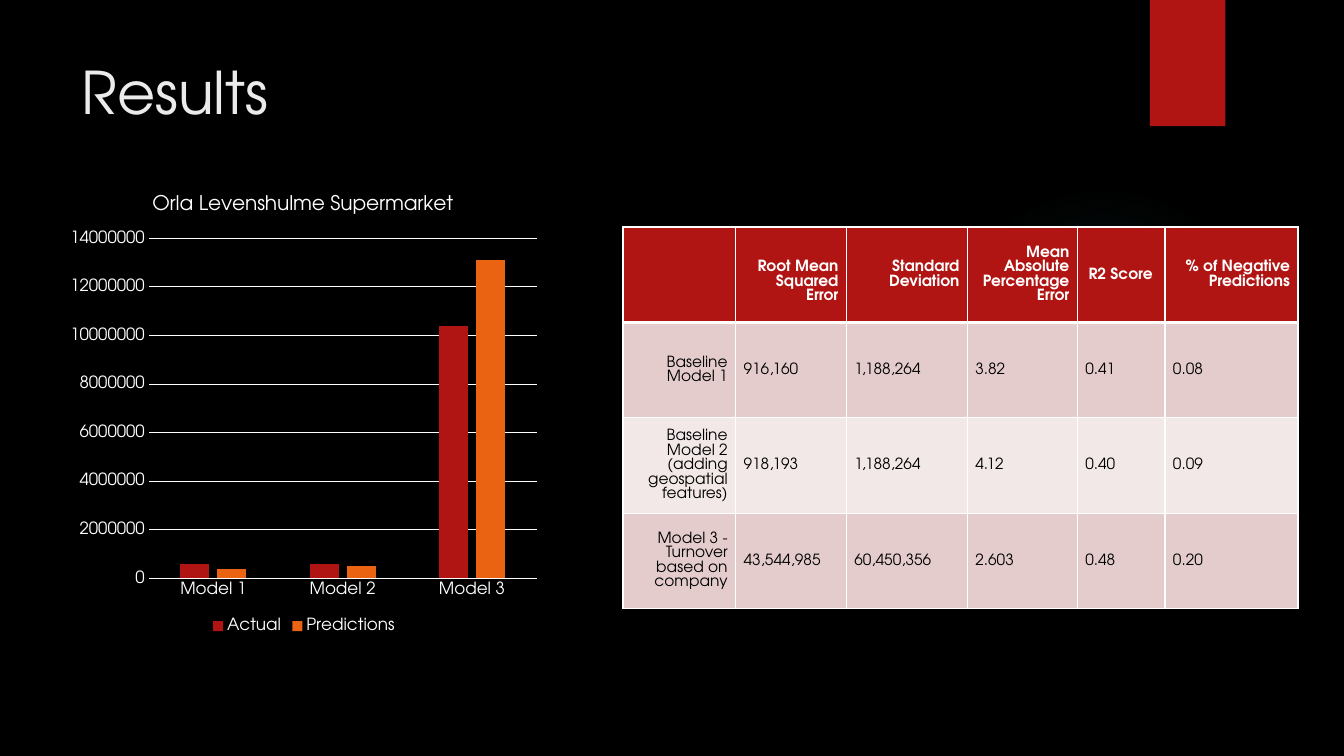
from pptx import Presentation
from pptx.chart.data import CategoryChartData
from pptx.dml.color import RGBColor
from pptx.enum.chart import XL_CHART_TYPE, XL_LEGEND_POSITION, XL_TICK_MARK
from pptx.enum.shapes import MSO_SHAPE
from pptx.enum.text import MSO_ANCHOR, MSO_AUTO_SIZE, PP_ALIGN
from pptx.oxml import parse_xml
from pptx.oxml.ns import nsdecls, qn
from pptx.util import Cm, Pt

FONT = "TeX Gyre Adventor"
BLACK = RGBColor(0x00, 0x00, 0x00)
WHITE = RGBColor(0xFF, 0xFF, 0xFF)
PALE = RGBColor(0xEB, 0xEB, 0xEB)
RED = RGBColor(0xB0, 0x15, 0x13)
ORANGE = RGBColor(0xEA, 0x63, 0x12)
TEAL = RGBColor(0x50, 0xB9, 0xC1)
ROSE = RGBColor(0xE4, 0xCC, 0xCC)
BLUSH = RGBColor(0xF2, 0xE8, 0xE7)

MODELS = ["Model 1", "Model 2", "Model 3"]
SALES = [
    ("Actual", RED, (600000, 600000, 10400000)),
    ("Predictions", ORANGE, (400000, 500000, 13100000)),
]
WIDTHS = [2.84, 2.79, 3.05, 2.77, 2.21, 3.35]
ROWS = [
    ["", "Root Mean Squared Error", "Standard Deviation",
     "Mean Absolute Percentage Error", "R2 Score ", "% of Negative Predictions"],
    ["Baseline Model 1", "916,160", "1,188,264", "3.82", "0.41", "0.08"],
    ["Baseline Model 2 (adding geospatial features)",
     "918,193", "1,188,264", "4.12", "0.40", "0.09"],
    ["Model 3 - Turnover based on company",
     "43,544,985", "60,450,356", "2.603", "0.48", "0.20"],
]


def style(font, size, color, bold=False):
    font.name, font.size, font.bold = FONT, Pt(size), bold
    font.color.rgb = color


def add_plain(slide, kind, box):
    shape = slide.shapes.add_shape(kind, *box)
    shape.shadow.inherit = False
    shape.line.fill.background()
    return shape


# Backdrop: faint glow and red ribbon
def add_glow(slide, box):
    glow = add_plain(slide, MSO_SHAPE.OVAL, box)
    stops = "".join(
        f'<a:gs pos="{pos}000"><a:srgbClr val="{TEAL}">'
        f'<a:alpha val="{alpha}000"/></a:srgbClr></a:gs>'
        for pos, alpha in [(0, 7), (36, 6), (69, 0)])
    fill = parse_xml(
        f'<a:gradFill {nsdecls("a")}><a:gsLst>{stops}</a:gsLst>'
        '<a:path path="circle"><a:fillToRect l="50000" t="50000" '
        'r="50000" b="50000"/></a:path></a:gradFill>')
    glow.element.spPr.find(qn("a:prstGeom")).addnext(fill)


def add_ribbon(slide, box):
    ribbon = add_plain(slide, MSO_SHAPE.RECTANGLE, box)
    ribbon.fill.solid()
    ribbon.fill.fore_color.rgb = RED


# Title
def set_title(slide, box):
    title = slide.shapes.title
    title.left, title.top, title.width, title.height = box
    frame = title.text_frame
    frame.text = "Results"
    frame.auto_size = MSO_AUTO_SIZE.NONE
    frame.vertical_anchor = MSO_ANCHOR.TOP
    line = frame.paragraphs[0]
    line.alignment = PP_ALIGN.LEFT
    style(line.runs[0].font, 42, PALE)


# Chart
def make_layout(inner=False, **sizes):
    target = '<c:layoutTarget val="inner"/>' if inner else ""
    modes = '<c:xMode val="edge"/><c:yMode val="edge"/>'
    parts = "".join(f'<c:{key} val="{val}"/>' for key, val in sizes.items())
    return parse_xml(f'<c:layout {nsdecls("c")}><c:manualLayout>{target}'
                     f'{modes}{parts}</c:manualLayout></c:layout>')


def drop_layout(node):
    for old in node.findall(qn("c:layout")):
        node.remove(old)


def add_sales(slide, box):
    data = CategoryChartData(number_format="General")
    data.categories = MODELS
    for name, _, vals in SALES:
        data.add_series(name, vals)
    chart = slide.shapes.add_chart(
        XL_CHART_TYPE.COLUMN_CLUSTERED, *box, data).chart
    style(chart.font, 12, WHITE)

    # Heading and plot position
    chart.has_title = True
    head = chart.chart_title
    head.text_frame.text = "Orla Levenshulme Supermarket"
    style(head.text_frame.paragraphs[0].runs[0].font, 14.4, WHITE)
    title = head._element
    drop_layout(title)
    title.find(qn("c:tx")).addnext(make_layout(x=0.18, y=0.03))
    area = chart._chartSpace.chart.plotArea
    drop_layout(area)
    area.insert(0, make_layout(True, x=0.18, y=0.136, w=0.8, h=0.735))

    # Columns
    plot = chart.plots[0]
    plot.gap_width, plot.overlap, plot.vary_by_categories = 219, -27, False
    for series, (_, color, _) in zip(plot.series, SALES):
        series.format.fill.solid()
        series.format.fill.fore_color.rgb = color

    # Axes and legend
    base, scale = chart.category_axis, chart.value_axis
    for axis in (base, scale):
        axis.major_tick_mark = axis.minor_tick_mark = XL_TICK_MARK.NONE
        style(axis.tick_labels.font, 12, WHITE)
    scale.minimum_scale, scale.maximum_scale = 0, 14000000
    scale.major_unit = 2000000
    scale.format.line.fill.background()
    for line in (base.format.line, scale.major_gridlines.format.line):
        line.color.rgb, line.width = WHITE, Pt(0.75)
    chart.has_legend = True
    chart.legend.position = XL_LEGEND_POSITION.BOTTOM
    chart.legend.include_in_layout = False
    style(chart.legend.font, 12, WHITE)


# Table
def set_edges(cell, top, bottom):
    props = cell._tc.get_or_add_tcPr()
    for side, width in zip("LRTB", (1, 1, top, bottom)):
        props.append(parse_xml(
            f'<a:ln{side} {nsdecls("a")} w="{Pt(width)}"><a:solidFill>'
            f'<a:srgbClr val="{WHITE}"/></a:solidFill></a:ln{side}>'))


def fill_cell(cell, text, row, col):
    header = row == 0
    set_edges(cell, 3 if row == 1 else 1, 3 if header else 1)
    cell.fill.solid()
    cell.fill.fore_color.rgb = RED if header else (BLUSH, ROSE)[row % 2]
    cell.vertical_anchor = MSO_ANCHOR.MIDDLE
    cell.margin_left = cell.margin_right = Cm(0.2)
    # The error heading sits lower than its neighbours
    cell.margin_top = Cm(0.46 if header and col == 1 else 0.1)
    cell.margin_bottom = Cm(0.1)
    cell.text_frame.text = text
    line = cell.text_frame.paragraphs[0]
    line.alignment = PP_ALIGN.RIGHT if header or col == 0 else PP_ALIGN.LEFT
    line.line_spacing = Pt(10.3)
    for run in line.runs:
        style(run.font, 11, WHITE if header else BLACK, header)


def add_scores(slide, box):
    table = slide.shapes.add_table(len(ROWS), len(WIDTHS), *box).table
    for column, width in zip(table.columns, WIDTHS):
        column.width = Cm(width)
    for row, texts in enumerate(ROWS):
        for col, text in enumerate(texts):
            fill_cell(table.cell(row, col), text, row, col)


def main():
    deck = Presentation()
    deck.slide_width, deck.slide_height = Cm(33.87), Cm(19.05)
    slide = deck.slides.add_slide(deck.slide_layouts[5])
    slide.background.fill.solid()
    slide.background.fill.fore_color.rgb = BLACK
    add_glow(slide, (Cm(23.9), Cm(4.65), Cm(7.82), Cm(7.82)))
    add_ribbon(slide, (Cm(28.98), Cm(0), Cm(1.9), Cm(3.18)))
    set_title(slide, (Cm(1.8), Cm(1.27), Cm(26.14), Cm(3.89)))
    add_sales(slide, (Cm(1.55), Cm(4.42), Cm(12.22), Cm(11.66)))
    add_scores(slide, (Cm(15.7), Cm(5.72), Cm(17), Cm(9.62)))
    deck.save("out.pptx")


if __name__ == "__main__":
    main()
